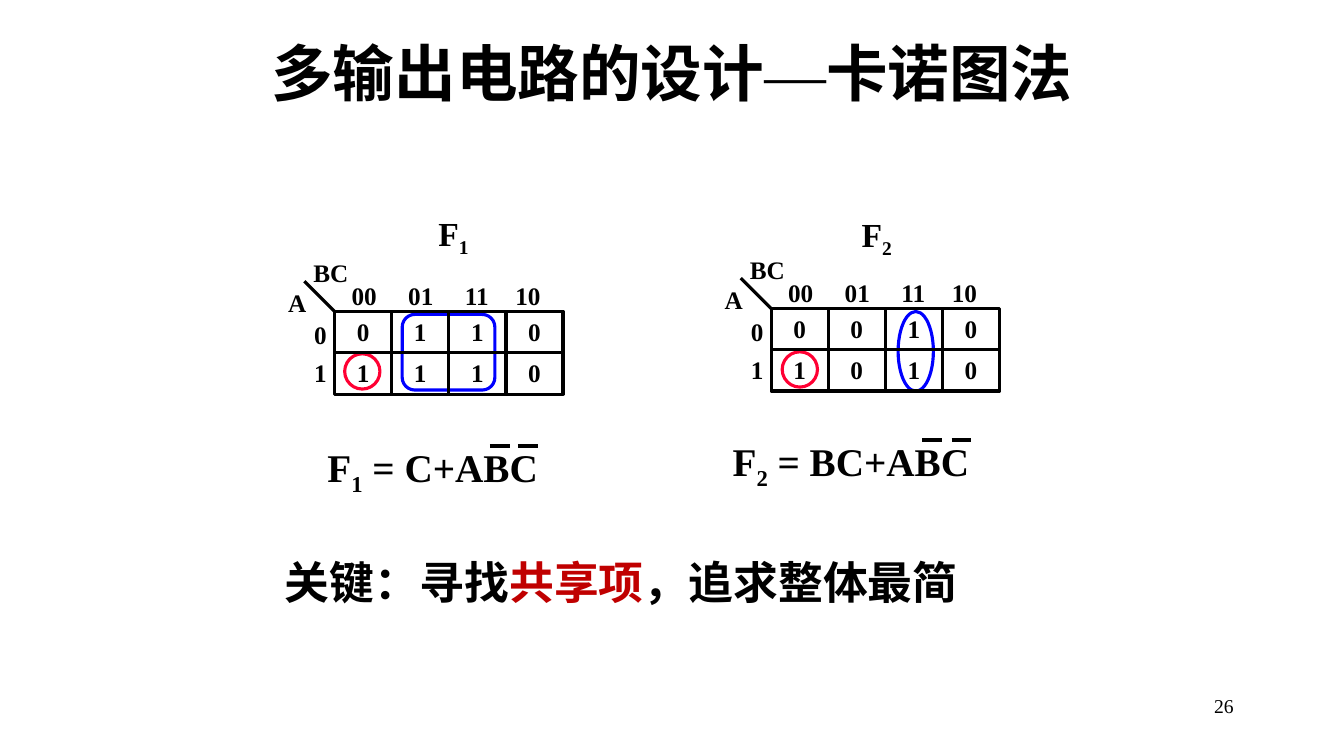
from lxml.etree import SubElement
from pptx import Presentation
from pptx.dml.color import RGBColor
from pptx.enum.shapes import MSO_CONNECTOR, MSO_SHAPE
from pptx.enum.text import MSO_ANCHOR, PP_ALIGN
from pptx.oxml.ns import qn
from pptx.util import Pt

SERIF, CHINESE = "Times New Roman", "Noto Sans CJK SC"
BLACK, WHITE, RED, BLUE, CRIMSON = "000000", "FFFFFF", "FF0033", "0000FF", "C00000"
LINE_WIDTH = Pt(2.25)
CELL_WIDTH, CELL_HEIGHT = 40.8, 29.5
COLUMN_TABS = (40.5, 81, 117)


def color(hex_value):
    return RGBColor.from_string(hex_value)


def add_run(paragraph, text, typeface=SERIF, ink=BLACK, baseline=0, **formats):
    """Add a run; baseline is a percentage, negative for a subscript."""
    run = paragraph.add_run()
    run.text = text
    for name, value in {"name": typeface, "bold": True, **formats}.items():
        setattr(run.font, name, value)
    run.font.color.rgb = color(ink)
    properties = run.font._element
    if baseline:
        properties.set("baseline", str(baseline * 1000))
    SubElement(properties, qn("a:ea")).set("typeface", typeface)


def add_text(shapes, box, runs, size, align=PP_ALIGN.LEFT, anchor=MSO_ANCHOR.TOP):
    """Add a text box whose runs are (text, formats) pairs; return its shape."""
    shape = shapes.add_textbox(*map(Pt, box))
    fill_text(shape, runs, size, align, anchor)
    return shape


def fill_text(shape, runs, size, align=PP_ALIGN.LEFT, anchor=MSO_ANCHOR.TOP):
    frame = shape.text_frame
    frame.word_wrap = True
    frame.vertical_anchor = anchor
    paragraph = frame.paragraphs[0]
    paragraph.alignment = align
    for text, formats in runs:
        add_run(paragraph, text, size=Pt(size), **formats)


def add_outline(shapes, preset, box, ink):
    shape = shapes.add_shape(preset, *map(Pt, box))
    shape.shadow.inherit = False
    shape.fill.background()
    shape.line.color.rgb = color(ink)
    shape.line.width = LINE_WIDTH
    return shape


def add_line(shapes, *ends):
    line = shapes.add_connector(MSO_CONNECTOR.STRAIGHT, *map(Pt, ends))
    line.line.color.rgb = color(BLACK)
    line.line.width = LINE_WIDTH
    SubElement(line._element.spPr, qn("a:effectLst"))


def add_column_labels(shapes, left, top):
    shape = add_text(shapes, (left, top, 170, 29), [], 18)
    paragraph = shape.text_frame.paragraphs[0]
    tabs = SubElement(paragraph._p.get_or_add_pPr(), qn("a:tabLst"))
    for position in COLUMN_TABS:
        tab = SubElement(tabs, qn("a:tab"))
        tab.set("pos", str(Pt(position)))
        tab.set("algn", "l")
    add_run(paragraph, "00\t01\t11\t10", size=Pt(18))


def add_row_labels(shapes, left, top):
    shape = add_text(shapes, (left, top, 24.5, 50), [("0", {})], 18)
    second = shape.text_frame.add_paragraph()
    add_run(second, "1", size=Pt(18))
    for paragraph in shape.text_frame.paragraphs:
        paragraph.line_spacing = 0.65
    second.space_before = Pt(13.5)


def add_karnaugh_map(slide, left, top, rows):
    shapes = slide.shapes.add_group_shape().shapes
    for row, values in enumerate(rows):
        for column, value in enumerate(values):
            box = (left + column * CELL_WIDTH, top + row * CELL_HEIGHT,
                   CELL_WIDTH, CELL_HEIGHT)
            cell = add_outline(shapes, MSO_SHAPE.RECTANGLE, box, BLACK)
            fill_text(cell, [(value, {})], 18, PP_ALIGN.CENTER)
    add_line(shapes, left - 21.6, top - 21.6, left, top)
    add_column_labels(shapes, left + 5, top - 26)
    add_row_labels(shapes, left - 21.6, top + 8.6)
    add_text(shapes, (left - 40.3, top - 21, 21.6, 29), [("A", {})], 18)
    add_text(shapes, (left - 22.3, top - 42.5, 50, 29), [("BC", {})], 18)


def add_formula(slide, left, top, index, expression, bar_lefts):
    """Add a formula with a negation bar at each of bar_lefts."""
    shapes = slide.shapes.add_group_shape().shapes
    box = add_outline(shapes, MSO_SHAPE.RECTANGLE, (left, top, 234, 41), WHITE)
    fill_text(box, [("F", {}), (index, {"baseline": -25}), (expression, {})], 28)
    for bar_left in bar_lefts:
        add_line(shapes, bar_left, top + 5.4, bar_left + 14, top + 5.4)


def add_name(slide, left, top, index):
    add_text(slide.shapes, (left, top, 72, 36),
             [("F", {}), (index, {"baseline": -25})], 24)


def main():
    presentation = Presentation()
    presentation.slide_width, presentation.slide_height = Pt(960), Pt(540)
    slide = presentation.slides.add_slide(presentation.slide_layouts[6])
    shapes = slide.shapes

    chinese = {"typeface": CHINESE}
    add_text(shapes, (72, 8.6, 816, 85),
             [("多输出电路的设计", chinese), ("—", {"bold": False}),
              ("卡诺图法", chinese)],
             44, PP_ALIGN.CENTER, MSO_ANCHOR.MIDDLE)
    add_text(shapes, (196.5, 392.4, 512, 44.6),
             [("关键：寻找", chinese), ("共享项", {**chinese, "ink": CRIMSON}),
              ("，追求整体最简", chinese)], 32)

    for preset, box, ink in (
        (MSO_SHAPE.OVAL, (558.7, 251.3, 25.2, 25.2), RED),
        (MSO_SHAPE.OVAL, (246.2, 252.7, 25.2, 25.2), RED),
        (MSO_SHAPE.ROUNDED_RECTANGLE, (287.3, 224.6, 66.2, 54), BLUE),
        (MSO_SHAPE.OVAL, (641.5, 222.5, 25.2, 56.9), BLUE),
    ):
        add_outline(shapes, preset, box, ink)

    add_name(slide, 306, 148.3, "1")
    add_name(slide, 608.4, 149, "2")
    add_formula(slide, 226.8, 313.2, "1", " = C+ABC", (350, 370))
    add_formula(slide, 516.2, 308.9, "2", " = BC+ABC", (658.8, 679.7))
    add_karnaugh_map(slide, 239, 222.5, ("0110", "1110"))
    add_karnaugh_map(slide, 550.8, 220.3, ("0010", "1010"))
    add_text(shapes, (688.3, 491.8, 200, 36), [("26", {"bold": False})],
             14, PP_ALIGN.RIGHT)
    presentation.save("out.pptx")


if __name__ == "__main__":
    main()
